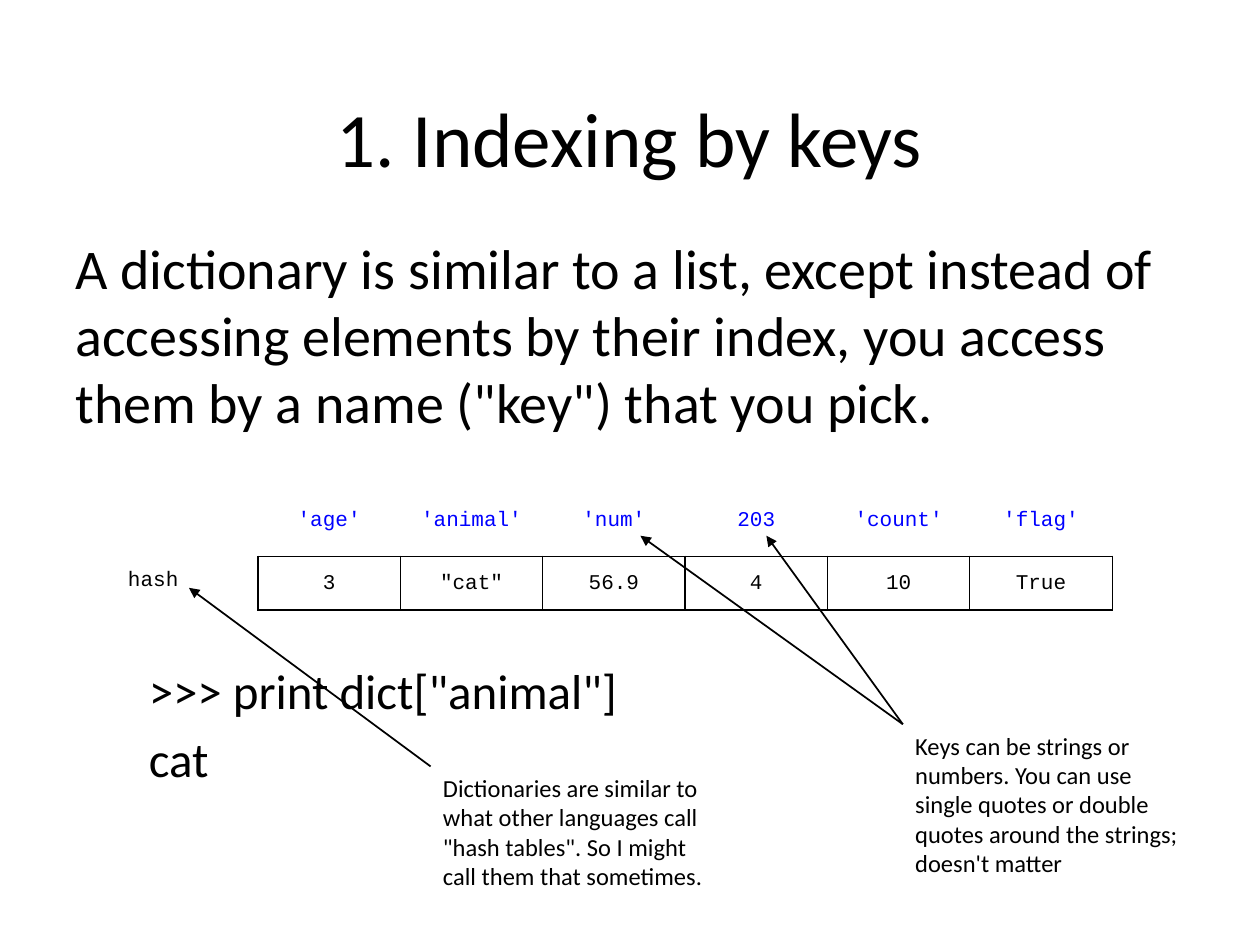
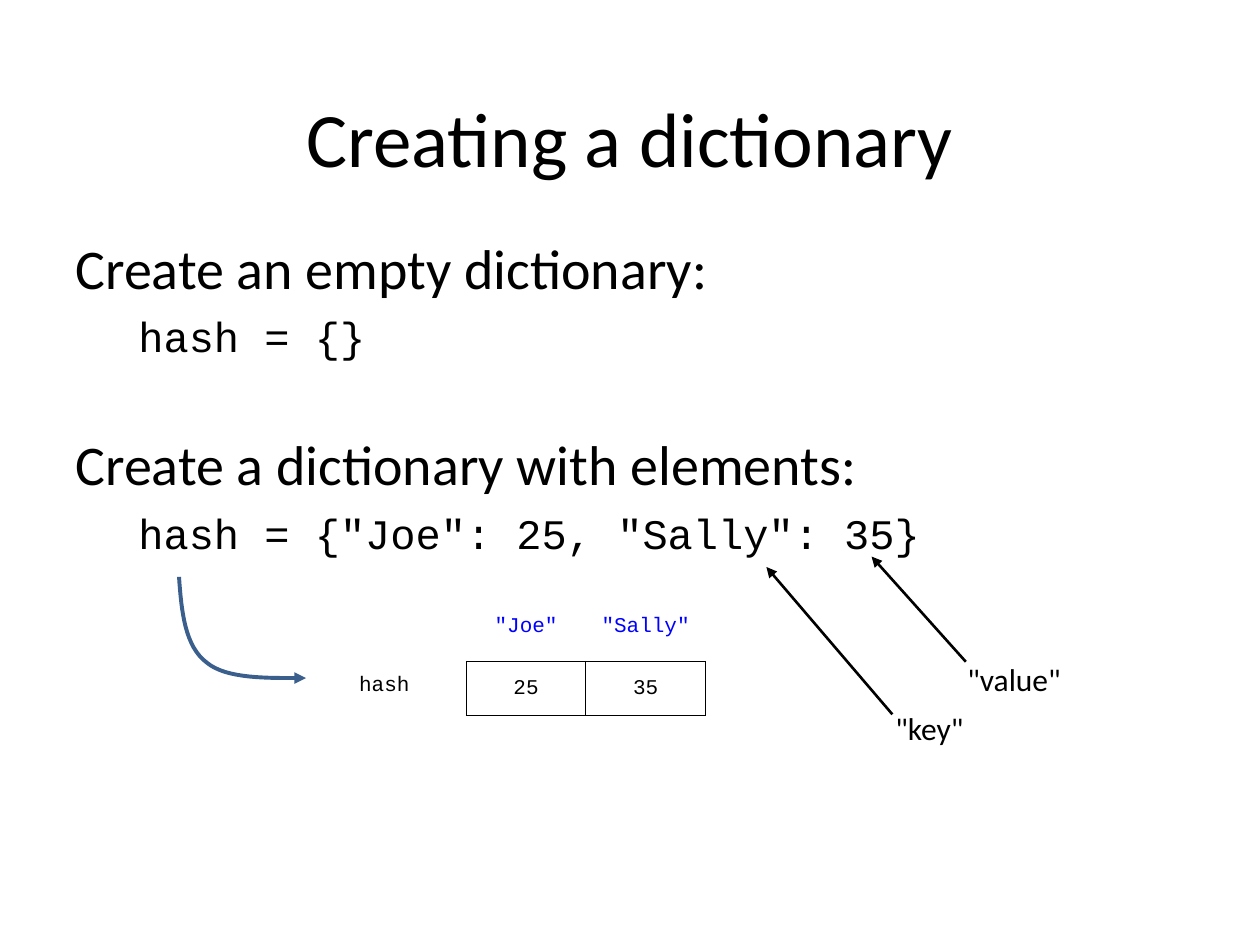
"""Builds two slides that introduce dictionaries, each with a key and value table."""
from lxml import etree
from pptx import Presentation
from pptx import util as u
from pptx.dml.color import RGBColor
from pptx.enum import shapes, text
from pptx.oxml import ns

Cm, Pt = u.Cm, u.Pt
BLACK = RGBColor(0x00, 0x00, 0x00)
BLUE = RGBColor(0x00, 0x00, 0xFF)
STEEL = RGBColor(0x3A, 0x5F, 0x8C)
SANS, MONO = "Calibri", "Courier New"
PAD = Cm(0.25)
TITLE = (1.27, 0.76, 22.86, 3.18)
BODY = (1.27, 4.45, 22.86, 12.57)


def write(slide, box, lines, inset=0.13, wrap=True):
    """Add a text box; each line is (words, size, font, gap before, indent)."""
    frame = slide.shapes.add_textbox(*map(Cm, box)).text_frame
    frame.word_wrap = wrap
    frame.margin_left = frame.margin_right = PAD
    frame.margin_top = frame.margin_bottom = Cm(inset)
    for i, (words, size, font, gap, indent) in enumerate(lines):
        para = frame.add_paragraph() if i else frame.paragraphs[0]
        para.space_before = Pt(gap)
        para._p.get_or_add_pPr().set("marL", str(Cm(indent)))
        run = para.add_run()
        run.text = words
        run.font.size, run.font.name = Pt(size), font
        run.font.color.rgb = BLACK
    return frame


def tip(shape, end, color, width):
    """Style a line and put an arrowhead on one end of it."""
    shape.line.color.rgb = color
    shape.line.width = Pt(width)
    props = shape.element.spPr
    edge = props.find(ns.qn("a:ln"))
    etree.SubElement(edge, ns.qn(f"a:{end}")).set("type", "triangle")
    if props.find(ns.qn("a:effectLst")) is None:
        etree.SubElement(props, ns.qn("a:effectLst"))


pages = [
    dict(
        title="1. Indexing by keys",
        body=[
            ("A dictionary is similar to a list, except instead of accessing elements "
             "by their index, you access them by a name (\"key\") that you pick.", 32, SANS, 2, 0),
            (">>> print dict[\"animal\"]", 28, SANS, 129, 1.48),
            ("cat", 28, SANS, 5, 1.48),
        ],
        keys=["'age'", "'animal'", "'num'", "203", "'count'", "'flag'"],
        vals=["3", "\"cat\"", "56.9", "4", "10", "True"],
        spot=(2.33, 9.95), col=2.87, width=1,
        arrows=[(12.91, 10.8, 18.2, 14.6), (15.45, 10.8, 18.2, 14.6),
                (3.81, 11.85, 8.68, 15.45)],
        notes=[
            ((18.2, 14.6, 6.14, 3.25), "Keys can be strings or numbers. You can use single "
             "quotes or double quotes around the strings; doesn't matter"),
            ((8.68, 15.45, 6.14, 2.65), "Dictionaries are similar to what other languages "
             "call \"hash tables\". So I might call them that sometimes."),
        ],
        size=14, wrap=True,
    ),
    dict(
        title="Creating a dictionary",
        body=[
            ("Create an empty dictionary:", 32, SANS, 2, 0),
            ("hash = {}", 24, MONO, 6, 1.27),
            ("Create a dictionary with elements:", 32, SANS, 39, 0),
            ("hash = {\"Joe\": 25, \"Sally\": 35}", 24, MONO, 6, 1.27),
        ],
        keys=["\"Joe\"", "\"Sally\""],
        vals=["25", "35"],
        spot=(6.99, 12.07), col=2.41, width=1.5,
        arrows=[(15.45, 11.43, 17.99, 14.4), (17.57, 11.22, 19.47, 13.34)],
        notes=[((17.8, 14.17, 1.92, 1.03), "\"key\""),
               ((19.25, 13.18, 2.43, 1.03), "\"value\"")],
        size=18, wrap=False,
    ),
]

deck = Presentation()
deck.slide_width, deck.slide_height = Cm(25.4), Cm(19.05)

for page in pages:
    slide = deck.slides.add_slide(deck.slide_layouts[6])
    head = write(slide, TITLE, [(page["title"], 44, SANS, 0, 0)], 0.25)
    head.vertical_anchor = text.MSO_ANCHOR.BOTTOM
    head.paragraphs[0].alignment = text.PP_ALIGN.CENTER
    write(slide, BODY, page["body"], 0.25)

    rows = [[""] + page["keys"], ["hash"] + page["vals"]]
    count = len(rows[0])
    left, top = page["spot"]
    grid = slide.shapes.add_table(
        2, count, Cm(left), Cm(top), Cm(page["col"] * count), Cm(2.04)).table
    grid.first_row = grid.horz_banding = False
    for r, row in enumerate(rows):
        for c, words in enumerate(row):
            cell = grid.cell(r, c)
            cell.margin_left = cell.margin_right = PAD
            cell.margin_top = cell.margin_bottom = PAD
            para = cell.text_frame.paragraphs[0]
            if c:
                para.alignment = text.PP_ALIGN.CENTER
                para.line_spacing = 1.15
            if words:
                run = para.add_run()
                run.text = words
                run.font.size, run.font.name = Pt(12), MONO
                run.font.color.rgb = BLACK if r else BLUE
            drawn = ("LRTB" if r else "B") if c else ("R" if r else "")
            props = cell._tc.get_or_add_tcPr()
            for side in "LRTB":
                edge = etree.SubElement(props, ns.qn(f"a:ln{side}"), w=str(Pt(0.75)))
                if side in drawn:
                    fill = etree.SubElement(edge, ns.qn("a:solidFill"))
                    etree.SubElement(fill, ns.qn("a:srgbClr"), val=str(BLACK))
                else:
                    etree.SubElement(edge, ns.qn("a:noFill"))
            cell.fill.background()

    for ends in page["arrows"]:
        line = slide.shapes.add_connector(shapes.MSO_CONNECTOR.STRAIGHT, *map(Cm, ends))
        tip(line, "headEnd", BLACK, page["width"])
    for box, words in page["notes"]:
        write(slide, box, [(words, page["size"], SANS, 0, 0)], wrap=page["wrap"])

knots = [(3.61, 11.63), (3.66, 12.34), (3.73, 13.03), (4.17, 13.36),
         (4.57, 13.69), (5.38, 13.67), (6.17, 13.67)]
dots = []
for k in (0, 3):
    for n in range(17):
        t = n / 16
        parts = ((1 - t) ** 3, 3 * t * (1 - t) ** 2, 3 * t * t * (1 - t), t ** 3)
        dots.append([Cm(sum(w * knot[axis] for w, knot in zip(parts, knots[k:k + 4])))
                     for axis in (0, 1)])
pen = slide.shapes.build_freeform(*dots[0])
pen.add_line_segments(dots[1:], close=False)
curve = pen.convert_to_shape()
curve.fill.background()
curve.shadow.inherit = False
tip(curve, "tailEnd", STEEL, 2.25)

deck.save("out.pptx")
